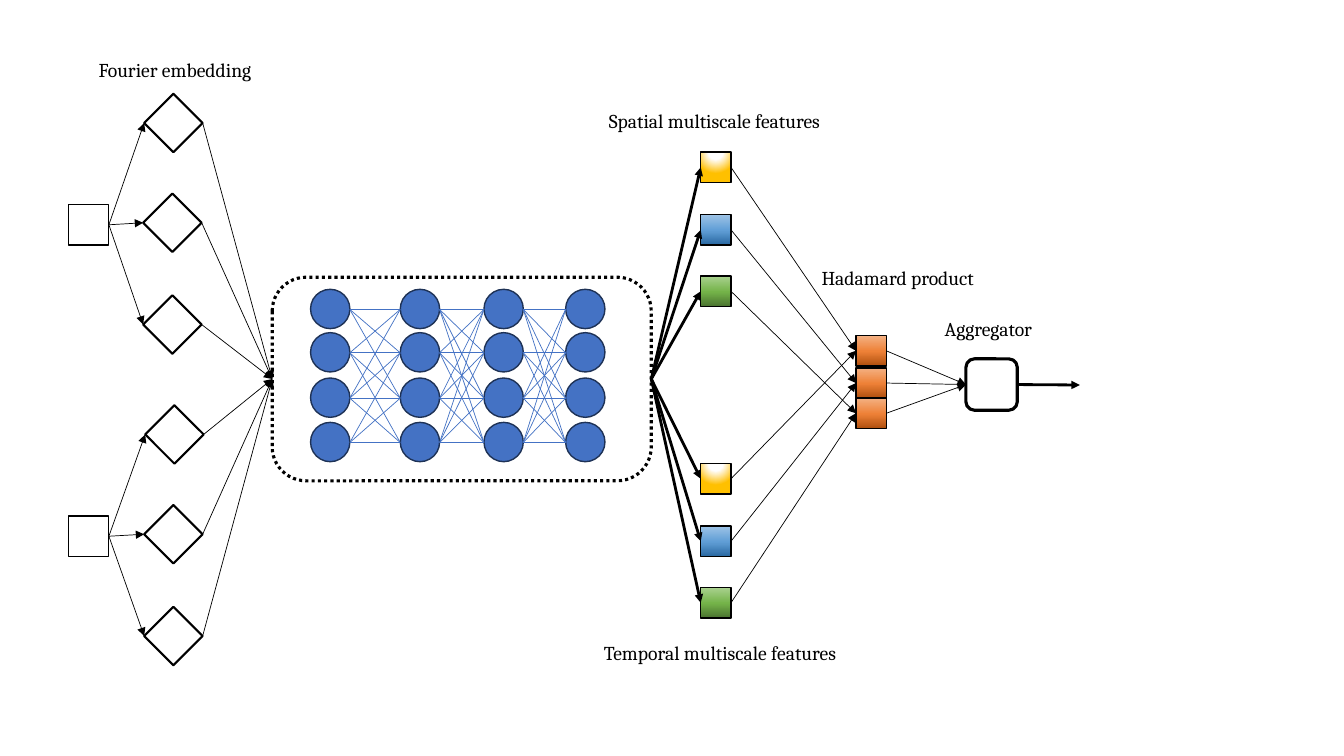
from itertools import product

from pptx import Presentation
from pptx.dml.color import RGBColor
from pptx.enum.dml import MSO_LINE
from pptx.enum.shapes import MSO_CONNECTOR, MSO_SHAPE
from pptx.enum.text import MSO_AUTO_SIZE
from pptx.oxml.ns import qn
from pptx.oxml.xmlchemy import OxmlElement
from pptx.util import Pt

PX = 9144  # 100 px to the inch
RECT, ROUND = MSO_SHAPE.RECTANGLE, MSO_SHAPE.ROUNDED_RECTANGLE
DIAMOND, OVAL = MSO_SHAPE.DIAMOND, MSO_SHAPE.OVAL
STRAIGHT, DOTTED = MSO_CONNECTOR.STRAIGHT, MSO_LINE.ROUND_DOT
GROW = MSO_AUTO_SIZE.SHAPE_TO_FIT_TEXT
LEFT, RIGHT = 1, 3

THEME = {
    "font": "Cambria", "size": 14,
    "ink": "000000", "paper": "FFFFFF",
    "neuron": "4472C4", "neuron_edge": "1E3256",
    "thin": 0.5, "edge": 1, "medium": 1.5, "thick": 2, "frame": 2.25,
    # gradient stops: position in percent, colour
    "yellow": [(0, "FFFFFF"), (35, "FFFFFF"), (100, "FFC000")],
    "blue": [(0, "2A69A2"), (48, "609ED6"), (100, "9DC3E6")],
    "green": [(0, "4B7430"), (48, "74B349"), (100, "A9D18E")],
    "orange": [(0, "B0500F"), (48, "EE8137"), (100, "F4B183")],
}

prs = Presentation()
prs.slide_width, prs.slide_height = 1333 * PX, 750 * PX
s = prs.slides.add_slide(prs.slide_layouts[6])


def add_part(kind, x, y, w, h, width, fill=None, edge=THEME["ink"]):
    """Add a shape; fill is None, a colour or a list of gradient stops."""
    sp = s.shapes.add_shape(kind, x * PX, y * PX, w * PX, h * PX)
    sp.shadow.inherit = False
    sp.line.color.rgb = RGBColor.from_string(edge)
    sp.line.width = Pt(width)
    if fill is None:
        sp.fill.background()
    elif isinstance(fill, str):
        sp.fill.solid()
        sp.fill.fore_color.rgb = RGBColor.from_string(fill)
    else:
        sp.fill.gradient()
        sp.fill.gradient_angle = 90
        grad = sp._element.spPr.find(qn("a:gradFill"))
        stops = grad.find(qn("a:gsLst"))
        for old in list(stops):
            stops.remove(old)
        for position, colour in fill:
            stop, value = OxmlElement("a:gs"), OxmlElement("a:srgbClr")
            stop.set("pos", str(position * 1000))
            value.set("val", colour)
            stop.append(value)
            stops.append(stop)
        if fill is THEME["yellow"]:  # radial glow from above
            glow, centre = OxmlElement("a:path"), OxmlElement("a:fillToRect")
            glow.set("path", "circle")
            for side, value in zip("ltrb", (50, -80, 50, 180)):
                centre.set(side, str(value * 1000))
            glow.append(centre)
            grad.replace(grad.find(qn("a:lin")), glow)
    return sp


def add_link(width, begin=None, end=None, at=(0, 0, 0, 0), colour=THEME["ink"]):
    """Add a line; one that begins at a shape is an arrow."""
    c = s.shapes.add_connector(STRAIGHT, *[v * PX for v in at])
    c.line.color.rgb = RGBColor.from_string(colour)
    c.line.width = Pt(width)
    if begin is not None:
        c.begin_connect(begin, RIGHT)
        head = OxmlElement("a:tailEnd")
        head.set("type", "triangle")
        c.line._get_or_add_ln().append(head)
    if end is not None:
        c.end_connect(end, LEFT)
    c._element.spPr.append(OxmlElement("a:effectLst"))


# Network frame
frame = add_part(ROUND, 270, 275, 376, 202, THEME["frame"])
frame.line.dash_style = DOTTED

# Neurons and the links between neighbouring layers
NEURON = 39
layer_x = [308, 397, 480, 561]
neuron_y = [287, 330, 375, 419]
for x, y in product(layer_x, neuron_y):
    add_part(OVAL, x, y, NEURON, NEURON, THEME["edge"], THEME["neuron"],
             THEME["neuron_edge"])
unlinked = [{(0, 3), (3, 0)}, set(), {(1, 0)}]  # neuron pairs per layer gap
for x1, x2, skipped in zip(layer_x, layer_x[1:], unlinked):
    for i, j in product(range(4), repeat=2):
        if (i, j) not in skipped:
            add_link(THEME["thin"], colour=THEME["neuron"],
                     at=(x1 + NEURON, neuron_y[i] + 20, x2, neuron_y[j] + 20))

# Hadamard products and aggregator
products = [add_part(RECT, 849, y, 30, 30, THEME["edge"], THEME["orange"])
            for y in (333, 365, 395)]
aggregator = add_part(ROUND, 958, 356, 51, 51, THEME["frame"], THEME["paper"])
for hadamard in products:
    add_link(THEME["thin"], hadamard, aggregator)
add_link(THEME["thick"], aggregator, at=(1009, 382, 1071, 382))

# Spatial branch above, temporal branch below
for shift, dy in ((0, 0), (1, 309)):
    source = add_part(RECT, 68, 203 + dy, 40, 40, THEME["edge"])
    for x, y in ((143, 93), (142, 192), (142, 293)):
        embedding = add_part(DIAMOND, x + shift, y + dy, 58, 58,
                             THEME["medium"], THEME["paper"])
        add_link(THEME["thin"], source, embedding)
        add_link(THEME["thin"], embedding, frame)
    for y, name, hadamard in zip((151, 213, 274), ("yellow", "blue", "green"),
                                 products):
        feature = add_part(RECT, 695, y + dy, 30, 30, THEME["edge"], THEME[name])
        add_link(THEME["thick"], frame, feature)
        add_link(THEME["thin"], feature, hadamard)

# Labels
for text, x, y, w in (
    ("Fourier embedding", 88, 53, 181),
    ("Spatial multiscale features", 594, 103, 241),
    ("Temporal multiscale features", 589, 631, 263),
    ("Hadamard product", 805, 259, 179),
    ("Aggregator", 927, 309, 113),
):
    tf = s.shapes.add_textbox(x * PX, y * PX, w * PX, 34 * PX).text_frame
    tf.word_wrap = False
    tf.auto_size = GROW
    r = tf.paragraphs[0].add_run()
    r.text = text
    r.font.name = THEME["font"]
    r.font.size = Pt(THEME["size"])
    r.font.color.rgb = RGBColor.from_string(THEME["ink"])

prs.save("out.pptx")
